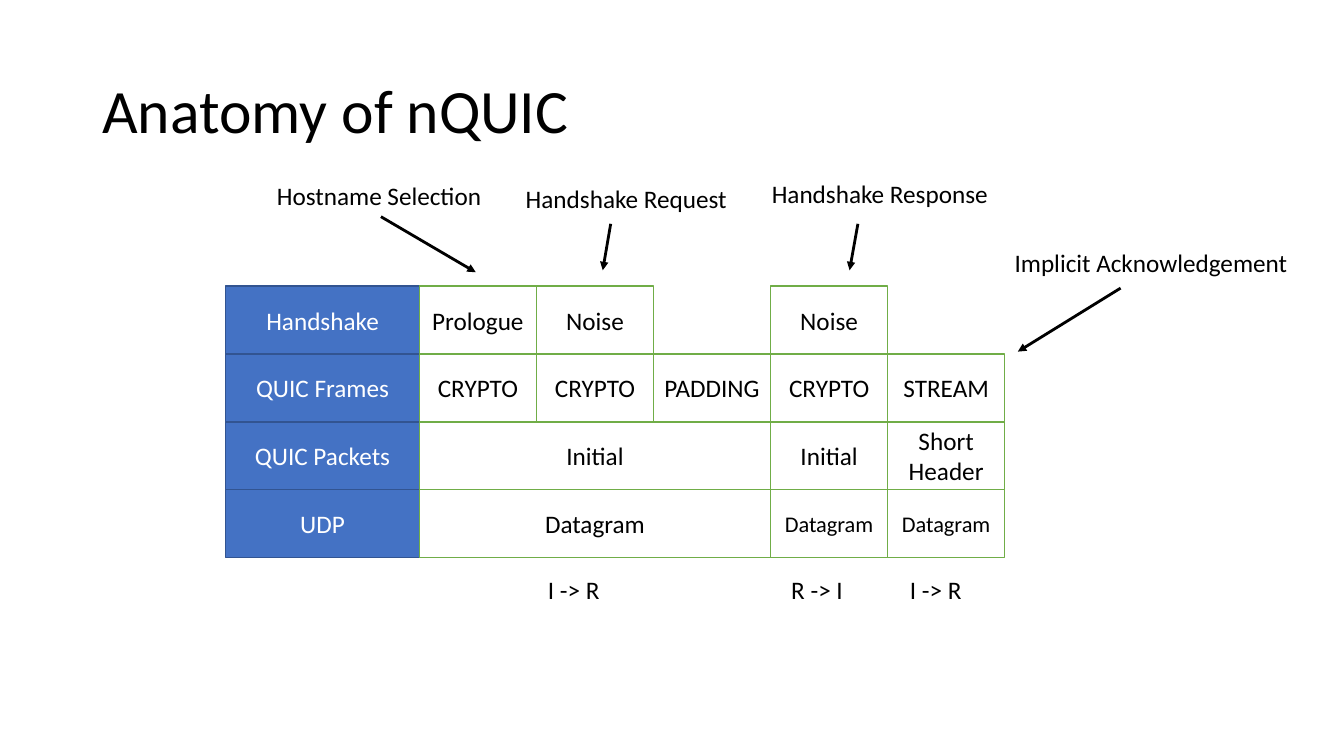
from lxml import etree
from pptx import Presentation
from pptx.dml.color import RGBColor
from pptx.enum.shapes import MSO_CONNECTOR as Connector, MSO_SHAPE as Shape
from pptx.enum.text import MSO_ANCHOR as Anchor, MSO_AUTO_SIZE as AutoSize, PP_ALIGN as Align
from pptx.oxml.ns import qn
from pptx.util import Cm, Pt

BLACK = RGBColor(0x00, 0x00, 0x00)
WHITE = RGBColor(0xFF, 0xFF, 0xFF)
BLUE = RGBColor(0x44, 0x72, 0xC4)
DARK_BLUE = RGBColor(0x32, 0x54, 0x91)
GREEN = RGBColor(0x70, 0xAD, 0x47)

STACK_LEFT, STACK_TOP = 5.69, 7.21
LAYER_WIDTH, UNIT_WIDTH, ROW_HEIGHT = 4.88, 2.95, 1.71

# Each layer: name, then its fields as (text, first column, columns spanned, size)
LAYERS = [
    ("Handshake", [("Prologue", 0, 1, 18), ("Noise", 1, 1, 18), ("Noise", 3, 1, 18)]),
    ("QUIC Frames", [("CRYPTO", 0, 1, 18), ("CRYPTO", 1, 1, 18), ("PADDING", 2, 1, 18),
                     ("CRYPTO", 3, 1, 18), ("STREAM", 4, 1, 18)]),
    ("QUIC Packets", [("Initial", 0, 3, 18), ("Initial", 3, 1, 18),
                      ("Short Header", 4, 1, 18)]),
    ("UDP", [("Datagram", 0, 3, 18), ("Datagram", 3, 1, 16), ("Datagram", 4, 1, 16)]),
]

# Text, left, top, width
LABELS = [
    ("I -> R", 13.56, 14.35, 1.83),
    ("R -> I", 19.69, 14.35, 1.83),
    ("I -> R", 22.68, 14.35, 1.83),
    ("Hostname Selection", 6.73, 4.42, 5.72),
    ("Handshake Request", 13, 4.5, 5.64),
    ("Handshake Response", 19.2, 4.37, 6.02),
    ("Implicit Acknowledgement", 25.32, 6.12, 7.47),
]

# Start x, start y, end x, end y
ARROWS = [
    (9.6, 5.46, 11.99, 6.86),
    (15.39, 5.64, 15.19, 6.81),
    (21.62, 5.64, 21.41, 6.81),
    (28.24, 7.26, 25.65, 8.86),
]


def write(frame, text, size=18, color=BLACK, align=Align.LEFT, anchor=Anchor.TOP,
          wrap=True, spacing=1.0):
    frame.word_wrap = wrap
    frame.vertical_anchor = anchor
    paragraph = frame.paragraphs[0]
    paragraph.alignment = align
    paragraph.line_spacing = spacing
    run = paragraph.add_run()
    run.text = text
    run.font.name = "Calibri"
    run.font.size = Pt(size)
    run.font.color.rgb = color


def add_title(slide, text):
    title = slide.shapes.add_textbox(Cm(2.33), Cm(1.01), Cm(29.21), Cm(3.68))
    write(title.text_frame, text, size=44, anchor=Anchor.MIDDLE, spacing=0.9)


def add_label(slide, text, left, top, width):
    label = slide.shapes.add_textbox(Cm(left), Cm(top), Cm(width), Cm(1.03))
    write(label.text_frame, text, wrap=False)
    label.text_frame.auto_size = AutoSize.SHAPE_TO_FIT_TEXT


def add_cell(slide, text, left, top, width, fill, outline, **text_format):
    cell = slide.shapes.add_shape(Shape.RECTANGLE, Cm(left), Cm(top), Cm(width), Cm(ROW_HEIGHT))
    cell.shadow.inherit = False
    cell.fill.solid()
    cell.fill.fore_color.rgb = fill
    cell.line.color.rgb = outline
    cell.line.width = Pt(1)
    write(cell.text_frame, text, align=Align.CENTER, anchor=Anchor.MIDDLE, **text_format)


def add_arrow(slide, *ends):
    arrow = slide.shapes.add_connector(Connector.STRAIGHT, *map(Cm, ends))
    arrow.line.color.rgb = BLACK
    arrow.line.width = Pt(2)
    etree.SubElement(arrow.line._get_or_add_ln(), qn("a:tailEnd"), type="triangle")
    etree.SubElement(arrow._element.spPr, qn("a:effectLst"))


def add_protocol_stack(slide):
    """Draw one row per layer: its blue name, then its green fields."""
    fields_left = STACK_LEFT + LAYER_WIDTH
    for row, (layer, fields) in enumerate(LAYERS):
        top = STACK_TOP + row * ROW_HEIGHT
        add_cell(slide, layer, STACK_LEFT, top, LAYER_WIDTH, BLUE, DARK_BLUE, color=WHITE)
        for text, column, span, size in fields:
            add_cell(slide, text, fields_left + column * UNIT_WIDTH, top,
                     span * UNIT_WIDTH, WHITE, GREEN, size=size)


def main():
    deck = Presentation()
    deck.slide_width, deck.slide_height = Cm(33.87), Cm(19.05)
    slide = deck.slides.add_slide(deck.slide_layouts[6])
    add_title(slide, "Anatomy of nQUIC")
    add_protocol_stack(slide)
    for label in LABELS:
        add_label(slide, *label)
    for arrow in ARROWS:
        add_arrow(slide, *arrow)
    deck.save("out.pptx")


if __name__ == "__main__":
    main()
